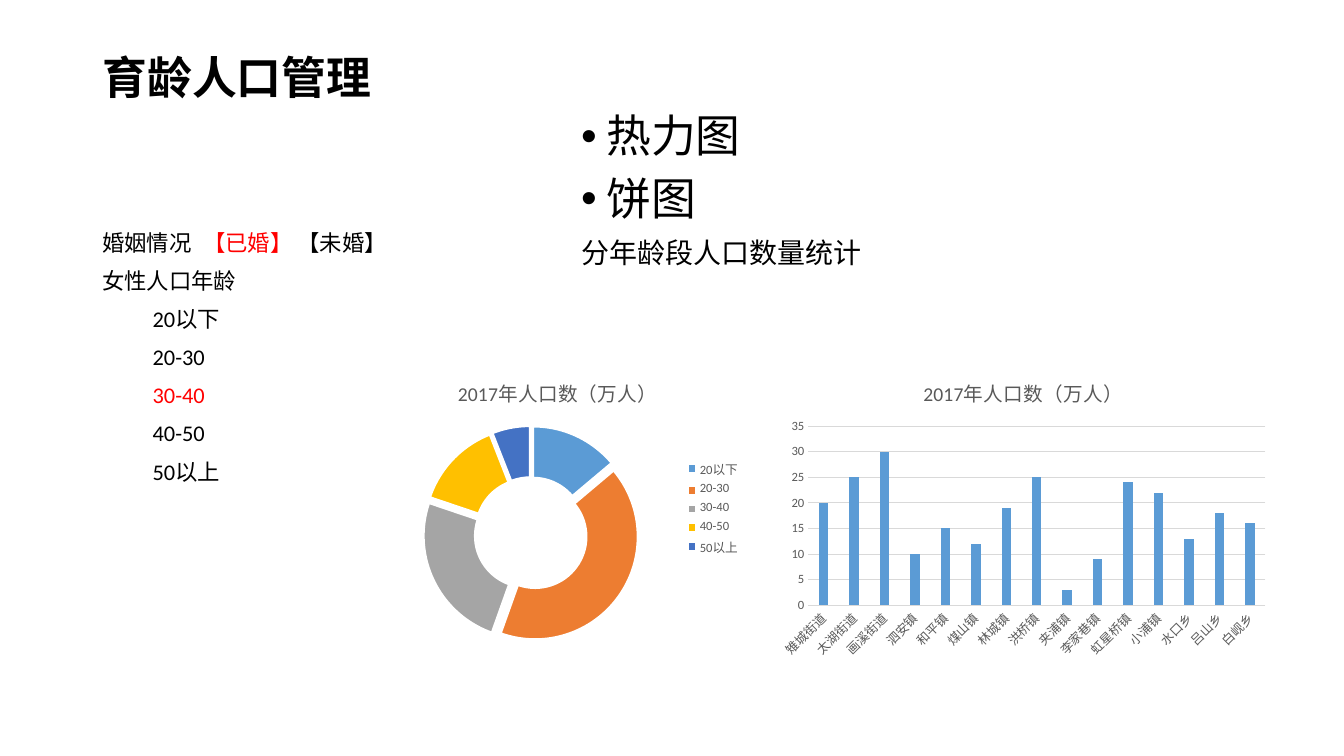
import lxml.etree
import pptx
import pptx.chart.data
import pptx.dml.color
import pptx.enum.chart
import pptx.enum.text
import pptx.oxml
import pptx.util

Pt = pptx.util.Pt
CHART_NAMESPACE = "http://schemas.openxmlformats.org/drawingml/2006/chart"
CHART_TITLE = "2017年人口数（万人）"


def color(value):
    return pptx.dml.color.RGBColor.from_string(value)


def add_text(paragraph, text, size=16, fill="000000", bold=False, before=10):
    paragraph.line_spacing = 0.9
    paragraph.space_before = Pt(before)
    paragraph.alignment = pptx.enum.text.PP_ALIGN.LEFT
    run = paragraph.add_run()
    run.text = text
    run.font.name = "Calibri"
    run.font.size = Pt(size)
    run.font.bold = bold
    run.font.color.rgb = color(fill)


presentation = pptx.Presentation()
presentation.slide_width = Pt(960)
presentation.slide_height = Pt(540)
slide = presentation.slides.add_slide(presentation.slide_layouts[5])

title = slide.shapes.title
title.left, title.top, title.width, title.height = Pt(66), Pt(36), Pt(310), Pt(126)
title.text_frame.vertical_anchor = pptx.enum.text.MSO_ANCHOR.TOP
add_text(title.text_frame.paragraphs[0], "育龄人口管理", size=32, bold=True, before=0)

topics = slide.shapes.add_textbox(Pt(408), Pt(78), Pt(486), Pt(384)).text_frame
filters = slide.shapes.add_textbox(Pt(66), Pt(162), Pt(310), Pt(300)).text_frame
topics.word_wrap = filters.word_wrap = True

for index, (text, size, bullet) in enumerate([
    ("热力图", 32, True),
    ("饼图", 32, True),
    ("分年龄段人口数量统计", 20, False),
]):
    paragraph = topics.add_paragraph() if index else topics.paragraphs[0]
    add_text(paragraph, text, size=size)
    if bullet:
        properties = paragraph._p.get_or_add_pPr()
        properties.set("marL", str(Pt(18)))
        properties.set("indent", str(Pt(-18)))
        namespace = properties.nsmap["a"]
        font = lxml.etree.SubElement(properties, f"{{{namespace}}}buFont")
        font.set("typeface", "Arial")
        mark = lxml.etree.SubElement(properties, f"{{{namespace}}}buChar")
        mark.set("char", "•")

age_groups = ["20以下", "20-30", "30-40", "40-50", "50以上"]
selected = ["【已婚】 ", "30-40"]
filter_rows = [["婚姻情况\t", "【已婚】 ", "【未婚】"], ["女性人口年龄"]]
filter_rows += [["\t", group] for group in age_groups]
for index, row in enumerate(filter_rows):
    paragraph = filters.add_paragraph() if index else filters.paragraphs[0]
    for text in row:
        add_text(paragraph, text, fill="FF0000" if text in selected else "000000")

towns = [
    "雉城街道", "太湖街道", "画溪街道", "泗安镇", "和平镇", "煤山镇", "林城镇", "洪桥镇",
    "夹浦镇", "李家巷镇", "虹星桥镇", "小浦镇", "水口乡", "吕山乡", "白岘乡",
]
town_values = [20, 25, 30, 10, 15, 12, 19, 25, 3, 9, 24, 22, 13, 18, 16]
age_values = [14, 42, 25, 14, 6]
chart_types = pptx.enum.chart.XL_CHART_TYPE
charts = []
for kind, categories, values, left, width, height in [
    (chart_types.COLUMN_CLUSTERED, towns, town_values, 551, 360, 216),
    (chart_types.DOUGHNUT, age_groups, age_values, 261, 275, 209),
]:
    data = pptx.chart.data.CategoryChartData()
    data.categories = categories
    data.add_series(CHART_TITLE, values)
    chart = slide.shapes.add_chart(kind, Pt(left), Pt(258), Pt(width), Pt(height), data).chart
    chart.font.name = "Calibri"
    chart.font.size = Pt(9)
    chart.font.color.rgb = color("595959")
    chart.has_title = True
    add_text(chart.chart_title.text_frame.paragraphs[0], CHART_TITLE, size=14, fill="595959", before=0)
    chart.chart_title.text_frame.paragraphs[0].alignment = pptx.enum.text.PP_ALIGN.CENTER
    chart.chart_title.include_in_layout = False
    chart.has_legend = kind == chart_types.DOUGHNUT
    charts.append(chart)
column_chart, doughnut_chart = charts

columns = column_chart.plots[0]
columns.gap_width = 219
columns.overlap = -27
columns.vary_by_categories = False
columns.series[0].format.fill.solid()
columns.series[0].format.fill.fore_color.rgb = color("5B9BD5")

category_axis, value_axis = column_chart.category_axis, column_chart.value_axis
for axis in (category_axis, value_axis):
    axis.major_tick_mark = pptx.enum.chart.XL_TICK_MARK.NONE
    axis.minor_tick_mark = pptx.enum.chart.XL_TICK_MARK.NONE
    axis.tick_labels.font.size = Pt(9)
    axis.tick_labels.font.color.rgb = color("595959")
value_axis.minimum_scale, value_axis.maximum_scale, value_axis.major_unit = 0, 35, 5
value_axis.format.line.fill.background()
for line in (category_axis.format.line, value_axis.major_gridlines.format.line):
    line.color.rgb = color("D9D9D9")
    line.width = Pt(0.75)

doughnut_chart.legend.position = pptx.enum.chart.XL_LEGEND_POSITION.RIGHT
doughnut_chart.legend.include_in_layout = False
doughnut_chart.legend.font.size = Pt(9)
doughnut_chart.legend.font.color.rgb = color("595959")
doughnut = doughnut_chart.plots[0]
ages = doughnut.series[0]
for index, fill in enumerate(["5B9BD5", "ED7D31", "A5A5A5", "FFC000", "4472C4"]):
    point = ages.points[index]
    point.format.fill.solid()
    point.format.fill.fore_color.rgb = color(fill)
    point.format.line.color.rgb = color("FFFFFF")
    point.format.line.width = Pt(1.5)

explosion = pptx.oxml.parse_xml(f'<c:explosion xmlns:c="{CHART_NAMESPACE}" val="10"/>')
ages._element.find(f"{{{CHART_NAMESPACE}}}dPt").addprevious(explosion)
doughnut._element.find(f"{{{CHART_NAMESPACE}}}holeSize").set("val", "55")

plot_area = doughnut._element.getparent()
for old_layout in plot_area.findall(f"{{{CHART_NAMESPACE}}}layout"):
    plot_area.remove(old_layout)
plot_area.insert(0, pptx.oxml.parse_xml(
    f'<c:layout xmlns:c="{CHART_NAMESPACE}"><c:manualLayout><c:layoutTarget val="inner"/>'
    '<c:xMode val="edge"/><c:yMode val="edge"/><c:x val="0.15"/><c:y val="0.22"/>'
    '<c:w val="0.56"/><c:h val="0.74"/></c:manualLayout></c:layout>'
))

presentation.save("out.pptx")
